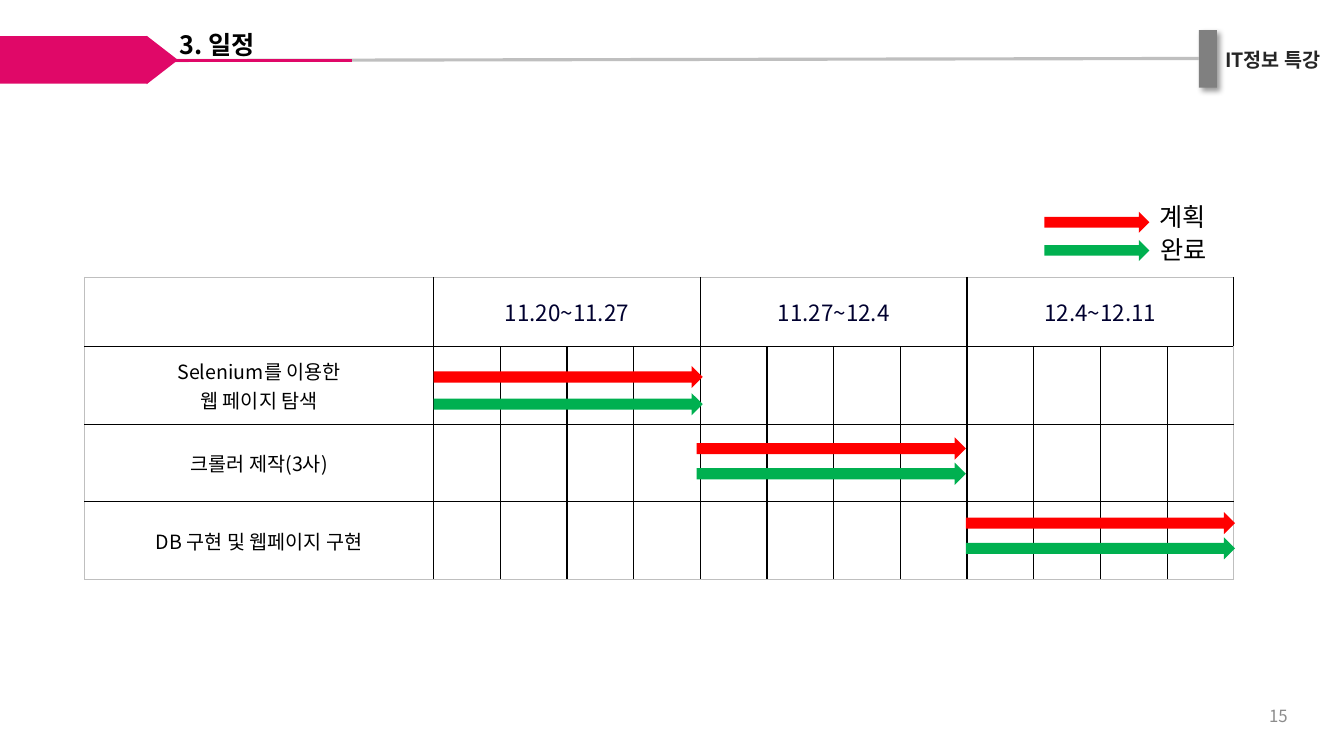
from dataclasses import dataclass

from lxml.etree import SubElement
from pptx import Presentation
from pptx.dml.color import RGBColor
from pptx.enum.shapes import MSO_CONNECTOR, MSO_SHAPE
from pptx.enum.text import MSO_ANCHOR, MSO_AUTO_SIZE, PP_ALIGN
from pptx.oxml import parse_xml
from pptx.oxml.ns import nsdecls, qn
from pptx.util import Inches, Pt

FONT = "Noto Sans CJK KR"
COLORS = {
    "pink": "E00868", "gray": "808080", "rule": "BFBFBF", "black": "000000",
    "header": "00002F", "course": "262626", "number": "8C8C8C",
    "plan": "FF0000", "done": "00B050",
}
LABEL_WIDTH, WEEK_WIDTH = 3.46, 7.94 / 3
WEEKS = ["11.20~11.27", "11.27~12.4", "12.4~12.11"]
STEPS = 4
ROW_HEIGHTS = [0.69, 0.77, 0.77, 0.77]


@dataclass
class Task:
    lines: list[str]
    left: float
    plan_top: float
    done_top: float


@dataclass
class Label:
    text: str
    left: float
    top: float
    width: float
    height: float
    style: dict


@dataclass
class Rule:
    start: tuple[float, float]
    end: tuple[float, float]
    color: str


TASKS = [
    Task(["Selenium를 이용한", "웹 페이지 탐색"], 4.3, 3.63, 3.9),
    Task(["크롤러 제작(3사)"], 6.91, 4.34, 4.59),
    Task(["DB 구현 및 웹페이지 구현"], 9.58, 5.08, 5.33),
]
RULES = [
    Rule((1.63, 0.6), (11.89, 0.58), "rule"),
    Rule((1.67, 0.6), (3.49, 0.6), "pink"),
]
LABELS = [
    Label("IT정보 특강", 11.89, 0.43, 1.47, 0.34,
          dict(size=14, color="course", bold=True, align=PP_ALIGN.CENTER)),
    Label("3. 일정", 1.68, 0.28, 5.43, 0.6,
          dict(size=18, bold=True, line_spacing=0.9)),
    Label("계획", 11.4, 1.95, 0.83, 0.41, dict(size=18)),
    Label("완료", 11.41, 2.28, 0.83, 0.41, dict(size=18)),
    Label("15", 9.87, 6.9, 3, 0.4,
          dict(size=12, color="number", align=PP_ALIGN.RIGHT, anchor=MSO_ANCHOR.MIDDLE)),
]


def rgb(name: str) -> RGBColor:
    return RGBColor.from_string(COLORS[name])


def write(frame, lines: list[str], *, size: float, color: str = "black", bold: bool = False,
          align=PP_ALIGN.LEFT, anchor=MSO_ANCHOR.TOP, line_spacing: float = 1.0) -> None:
    """Fill a text frame, one paragraph per line."""
    frame.word_wrap = True
    frame.vertical_anchor = anchor
    for index, line in enumerate(lines):
        para = frame.add_paragraph() if index else frame.paragraphs[0]
        para.alignment = align
        para.line_spacing = line_spacing
        span = para.add_run()
        span.text = line
        span.font.size = Pt(size)
        span.font.bold = bold
        span.font.color.rgb = rgb(color)
        span.font.name = FONT
        SubElement(span.font._element, qn("a:ea")).set("typeface", FONT)


def add_label(page, label: Label) -> None:
    box = page.shapes.add_textbox(*map(Inches, (label.left, label.top, label.width, label.height)))
    write(box.text_frame, [label.text], **label.style)
    box.text_frame.auto_size = MSO_AUTO_SIZE.NONE


def add_block(shapes, kind, left: float, top: float, width: float, height: float, color: str):
    block = shapes.add_shape(kind, *map(Inches, (left, top, width, height)))
    block.shadow.inherit = False
    block.fill.solid()
    block.fill.fore_color.rgb = rgb(color)
    block.line.fill.background()
    return block


def add_rule(page, rule: Rule) -> None:
    line = page.shapes.add_connector(
        MSO_CONNECTOR.STRAIGHT, *map(Inches, rule.start + rule.end))
    line.line.color.rgb = rgb(rule.color)
    line.line.width = Pt(2.25)
    SubElement(line._element.spPr, qn("a:effectLst"))


def add_soft_shadow(block) -> None:
    effects = block._element.spPr.find(qn("a:effectLst"))
    effects.append(parse_xml(
        f'<a:outerShdw {nsdecls("a")} blurRad="{Pt(4)}" dist="{Pt(3)}" dir="2700000" '
        'algn="tl" rotWithShape="0"><a:srgbClr val="000000"><a:alpha val="40000"/>'
        '</a:srgbClr></a:outerShdw>'))


def set_borders(cell, outer: dict[str, bool]) -> None:
    """Draw inner edges black and the table's outer edges light."""
    properties = cell._tc.get_or_add_tcPr()
    for index, (side, is_outer) in enumerate(outer.items()):
        color, width = ("rule", 0.75) if is_outer else ("black", 1)
        properties.insert(index, parse_xml(
            f'<a:{side} {nsdecls("a")} w="{Pt(width)}"><a:solidFill>'
            f'<a:srgbClr val="{COLORS[color]}"/></a:solidFill></a:{side}>'))


def add_schedule(page) -> None:
    row_count, column_count = len(ROW_HEIGHTS), 1 + STEPS * len(WEEKS)
    table = page.shapes.add_table(
        row_count, column_count, Inches(0.84), Inches(2.75),
        Inches(LABEL_WIDTH + WEEK_WIDTH * len(WEEKS)), Inches(sum(ROW_HEIGHTS))).table
    table.first_row = table.horz_banding = False
    for index, column in enumerate(table.columns):
        column.width = Inches(WEEK_WIDTH / STEPS if index else LABEL_WIDTH)
    for row, height in zip(table.rows, ROW_HEIGHTS):
        row.height = Inches(height)
    for row in range(row_count):
        for column in range(column_count):
            cell = table.cell(row, column)
            cell.fill.background()
            set_borders(cell, {
                "lnL": column == 0, "lnR": column == column_count - 1,
                "lnT": row == 0, "lnB": row == row_count - 1})
    centered = dict(align=PP_ALIGN.CENTER, anchor=MSO_ANCHOR.MIDDLE)
    for index, week in enumerate(WEEKS):
        first = 1 + index * STEPS
        cell = table.cell(0, first)
        cell.merge(table.cell(0, first + STEPS - 1))
        cell.vertical_anchor = MSO_ANCHOR.MIDDLE
        write(cell.text_frame, [week], size=16, color="header", **centered)
    for row, task in enumerate(TASKS, start=1):
        cell = table.cell(row, 0)
        cell.vertical_anchor = MSO_ANCHOR.MIDDLE
        write(cell.text_frame, task.lines, size=14, **centered)


def add_arrows(page, left: float, width: float, height: float,
               plan_top: float, done_top: float) -> None:
    for top, color in ((plan_top, "plan"), (done_top, "done")):
        add_block(page.shapes, MSO_SHAPE.RIGHT_ARROW, left, top, width, height, color)


def add_banner(page) -> None:
    marker = add_block(page.shapes, MSO_SHAPE.RECTANGLE, 11.89, 0.3, 0.18, 0.57, "gray")
    add_soft_shadow(marker)
    for rule in RULES:
        add_rule(page, rule)
    tag = page.shapes.add_group_shape()
    add_block(tag.shapes, MSO_SHAPE.RECTANGLE, 0, 0.36, 1.46, 0.47, "pink")
    tip = add_block(tag.shapes, MSO_SHAPE.ISOSCELES_TRIANGLE, 1.37, 0.44, 0.48, 0.31, "pink")
    tip.rotation = 90


def main() -> None:
    deck = Presentation()
    deck.slide_width, deck.slide_height = Inches(13.33), Inches(7.5)
    page = deck.slides.add_slide(deck.slide_layouts[6])
    add_banner(page)
    add_schedule(page)
    add_arrows(page, 10.36, 1.04, 0.21, 2.1, 2.38)
    for task in TASKS:
        add_arrows(page, task.left, 2.67, 0.22, task.plan_top, task.done_top)
    for label in LABELS:
        add_label(page, label)
    deck.save("out.pptx")


if __name__ == "__main__":
    main()
